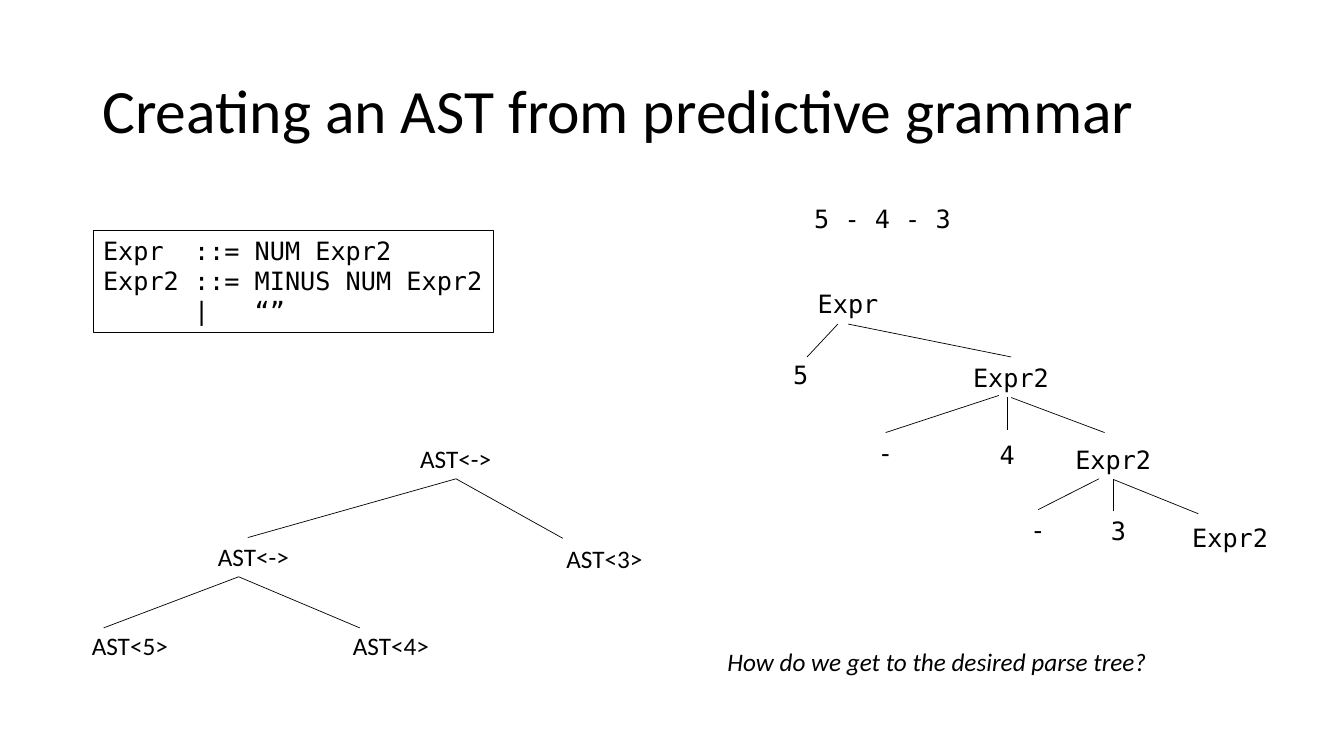
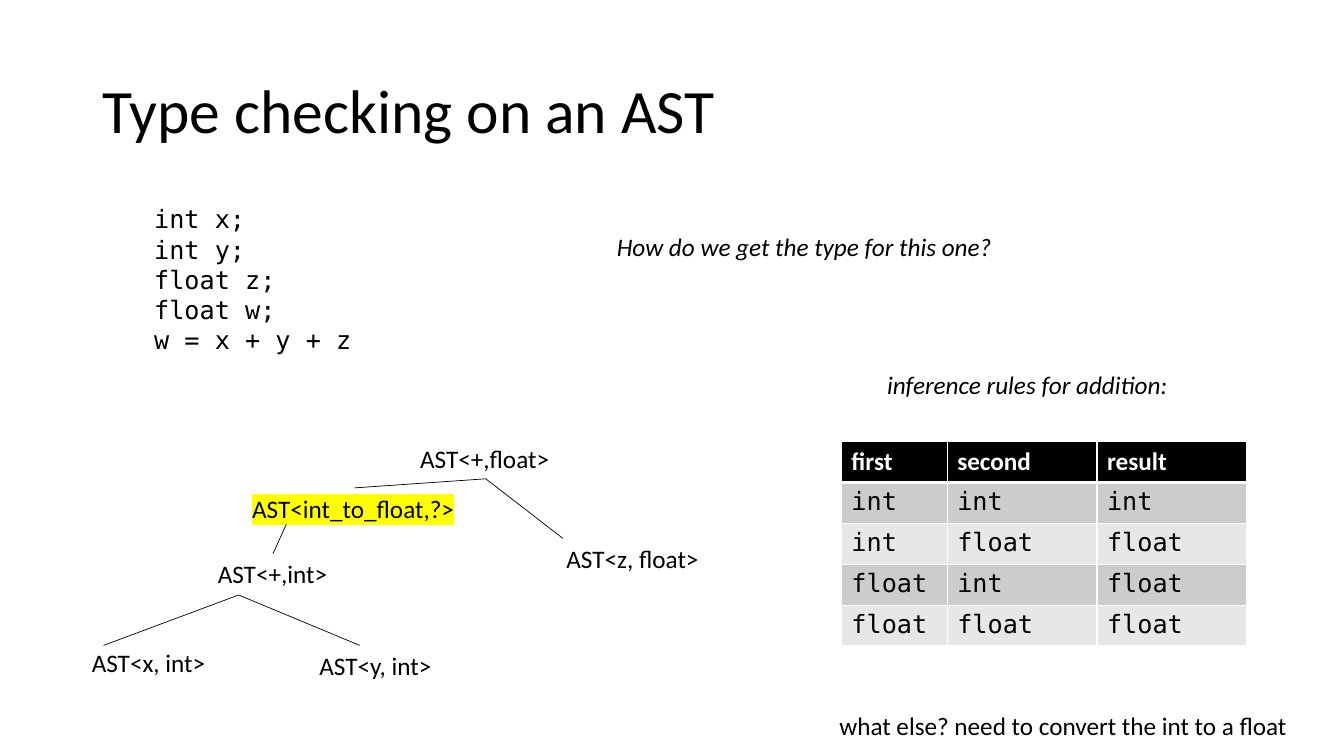
from lxml import etree
from pptx import Presentation
from pptx.dml.color import RGBColor
from pptx.enum import shapes, text
from pptx.oxml import ns
from pptx.util import Pt

COLORS = {"ink": "000000", "paper": "FFFFFF", "marker": "FFFF00",
          "odd_row": "CCCCCC", "even_row": "E7E7E7"}

# Format values, applied attribute by attribute
PLAIN = {"name": "Calibri", "size": Pt(18), "bold": False, "italic": False}
ITALIC = {**PLAIN, "italic": True}
HEADING = {**PLAIN, "bold": True}
CODE = {**PLAIN, "name": "DejaVu Sans Mono"}
TITLE = {**PLAIN, "size": Pt(44)}

TITLE_BOX = (66, 29, 828, 104)
LABEL_HEIGHT = 29
CODE_ADVANCE, SIDE_INSETS = 10.84, 14.4
BOTTOM, TOP = 2, 0


def rgb(color):
    return RGBColor.from_string(COLORS[color])


def points(*lengths):
    return [Pt(length) for length in lengths]


def code_width(line):
    return CODE_ADVANCE * len(line) + SIDE_INSETS


# Text
def format_run(run, style, color="ink", marker=None):
    for attribute, value in style.items():
        setattr(run.font, attribute, value)
    run.font.color.rgb = rgb(color)
    if marker:
        highlight = etree.Element(ns.qn("a:highlight"))
        etree.SubElement(highlight, ns.qn("a:srgbClr"), val=COLORS[marker])
        run._r.get_or_add_rPr().find(ns.qn("a:solidFill")).addnext(highlight)


def write_lines(frame, lines, style, marker=None):
    frame.word_wrap = False
    frame.auto_size = text.MSO_AUTO_SIZE.SHAPE_TO_FIT_TEXT
    frame.vertical_anchor = text.MSO_ANCHOR.TOP
    for number, line in enumerate(lines):
        paragraph = frame.add_paragraph() if number else frame.paragraphs[0]
        paragraph.alignment = text.PP_ALIGN.LEFT
        run = paragraph.add_run()
        run.text = line
        format_run(run, style, marker=marker)


def add_label(slide, box, lines, style=PLAIN, marker=None):
    label = slide.shapes.add_textbox(*points(*box))
    write_lines(label.text_frame, lines, style, marker)
    return label


def start_slide(deck, heading):
    slide = deck.slides.add_slide(deck.slide_layouts[5])
    title = slide.shapes.title
    title.left, title.top, title.width, title.height = points(*TITLE_BOX)
    frame = title.text_frame
    frame.auto_size = text.MSO_AUTO_SIZE.NONE
    frame.vertical_anchor = text.MSO_ANCHOR.MIDDLE
    paragraph = frame.paragraphs[0]
    paragraph.alignment = text.PP_ALIGN.LEFT
    paragraph.line_spacing = 0.9
    run = paragraph.add_run()
    run.text = heading
    format_run(run, TITLE)
    return slide


# Trees
def add_branch(slide, origin, labels, parent, child):
    """Each end is a label's key (joined to it) or a point in the tree's box."""
    ends = [(0, 0) if end in labels
            else (origin[0] + end[0], origin[1] + end[1])
            for end in (parent, child)]
    branch = slide.shapes.add_connector(
        shapes.MSO_CONNECTOR.STRAIGHT, *points(*ends[0], *ends[1]))
    if parent in labels:
        branch.begin_connect(labels[parent], BOTTOM)
    if child in labels:
        branch.end_connect(labels[child], TOP)
    branch.line.color.rgb = rgb("ink")
    branch.line.width = Pt(0.5)
    etree.SubElement(branch._element.spPr, ns.qn("a:effectLst"))


def draw_tree(slide, origin, nodes, branches, style=PLAIN, marked=None):
    """Nodes map a key to its text, left, top and width."""
    labels = {}
    for key, (word, left, top, width) in nodes.items():
        box = (origin[0] + left, origin[1] + top, width, LABEL_HEIGHT)
        labels[key] = add_label(slide, box, [word], style,
                                "marker" if key == marked else None)
    for parent, child in branches:
        add_branch(slide, origin, labels, parent, child)


def draw_parse_tree(slide, origin):
    places = {
        "root": ("Expr", 17.5, 0), "five": ("5", 0, 50.5),
        "rest": ("Expr2", 128.5, 52.5), "minus": ("-", 60.5, 106.5),
        "four": ("4", 147.5, 107.5), "rest2": ("Expr2", 201.5, 111),
        "minus2": ("-", 169.5, 161.5), "three": ("3", 227, 162),
        "rest3": ("Expr2", 285, 167),
    }
    nodes = {key: (*place, code_width(place[0]))
             for key, place in places.items()}
    branches = [
        ((39, 29), (17, 52.5)), ("root", "rest"),
        ((154, 80), "minus"), ((160, 81), (160, 104.5)),
        ("rest", (229.5, 106.5)),
        ((225.5, 139.5), "minus2"), ("rest2", (235.8, 162.5)),
        ("rest2", (296.5, 164.5)),
    ]
    draw_tree(slide, origin, nodes, branches, CODE)


def ast_branches(fork_top, fork_bottom):
    """Branches common to both ASTs: root to right, left node to its leaves."""
    return [("root", (343.5, 71.5))] + [
        ((112, fork_top), (x, fork_bottom)) for x in (15.5, 198.5)]


def draw_minus_ast(slide, origin):
    nodes = {
        "root": ("AST<->", 234.5, 0, 65.5),
        "left": ("AST<->", 90, 70, 65.5),
        "right": ("AST<3>", 339, 71.5, 69),
        "five": ("AST<5>", 0, 133.5, 69),
        "four": ("AST<4>", 186.5, 133.5, 69),
    }
    branches = ast_branches(99, 135.5) + [("root", (118.5, 71))]
    draw_tree(slide, origin, nodes, branches)


def draw_typed_ast(slide, origin):
    nodes = {
        "root": ("AST<+,float>", 234.5, 0, 108),
        "convert": ("AST<int_to_float,?>", 114.5, 35.5, 160.5),
        "sum": ("AST<+,int>", 90, 82.5, 93.5),
        "z": ("AST<z, float>", 339, 71.5, 110),
        "x": ("AST<x, int>", 0, 145.5, 96.5),
        "y": ("AST<y, int>", 162.5, 148, 96),
    }
    branches = ast_branches(112, 148) + [
        ("root", "convert"), ((146, 61.5), (136.5, 82.5))]
    draw_tree(slide, origin, nodes, branches, marked="convert")


# Grammar box
def draw_grammar(slide, box):
    grammar = slide.shapes.add_shape(shapes.MSO_SHAPE.RECTANGLE, *points(*box))
    grammar.shadow.inherit = False
    grammar.fill.background()
    grammar.line.color.rgb = rgb("ink")
    grammar.line.width = Pt(0.75)
    write_lines(grammar.text_frame, [
        "Expr  ::= NUM Expr2",
        "Expr2 ::= MINUS NUM Expr2",
        "      |   “”",
    ], CODE)


# Table of inference rules
def add_cell_borders(cell, bottom):
    properties = cell._tc.get_or_add_tcPr()
    for side, width in (("L", 1), ("R", 1), ("T", 1), ("B", bottom)):
        border = etree.SubElement(properties, ns.qn(f"a:ln{side}"),
                                  w=str(Pt(width)))
        fill = etree.SubElement(border, ns.qn("a:solidFill"))
        etree.SubElement(fill, ns.qn("a:srgbClr"), val=COLORS["paper"])


def draw_rules(slide, left, top):
    widths, row_height = (75.6, 107, 107), 29.2
    rules = [("first", "second", "result"), ("int", "int", "int"),
             ("int", "float", "float"), ("float", "int", "float"),
             ("float", "float", "float")]
    table = slide.shapes.add_table(
        len(rules), len(widths),
        *points(left, top, sum(widths), row_height * len(rules))).table
    for column, width in zip(table.columns, widths):
        column.width = Pt(width)
    for r, rule in enumerate(rules):
        table.rows[r].height = Pt(row_height)
        shade = ("odd_row" if r % 2 else "even_row") if r else "ink"
        for c, word in enumerate(rule):
            cell = table.cell(r, c)
            add_cell_borders(cell, bottom=1 if r else 3)
            cell.fill.solid()
            cell.fill.fore_color.rgb = rgb(shade)
            run = cell.text_frame.paragraphs[0].add_run()
            run.text = word
            format_run(run, CODE if r else HEADING, "ink" if r else "paper")


# Slides
def build_grammar_slide(deck):
    slide = start_slide(deck, "Creating an AST from predictive grammar")
    draw_grammar(slide, (66.5, 164.5, 286, 73))
    add_label(slide, (574.5, 142, 112, LABEL_HEIGHT), ["5 - 4 - 3"], CODE)
    draw_parse_tree(slide, (559.5, 202.5))
    draw_minus_ast(slide, (58.5, 313))
    add_label(slide, (512.5, 458, 320.5, LABEL_HEIGHT),
              ["How do we get to the desired parse tree?"], ITALIC)


def build_types_slide(deck):
    slide = start_slide(deck, "Type checking on an AST")
    program = ["int x;", "int y;", "float z;", "float w;", "w = x + y + z"]
    add_label(slide, (103, 142, 155.5, 116.5), program, CODE)
    add_label(slide, (433.5, 161.5, 286, LABEL_HEIGHT),
              ["How do we get the type for this one?"], ITALIC)
    draw_typed_ast(slide, (58.5, 313))
    add_label(slide, (626.5, 260.5, 217.5, LABEL_HEIGHT),
              ["inference rules for addition:"], ITALIC)
    draw_rules(slide, 601, 315.5)
    add_label(slide, (592.5, 503.5, 338.5, LABEL_HEIGHT),
              ["what else? need to convert the int to a float"])


def main():
    deck = Presentation()
    deck.slide_width, deck.slide_height = points(960, 540)
    build_grammar_slide(deck)
    build_types_slide(deck)
    deck.save("out.pptx")


if __name__ == "__main__":
    main()
